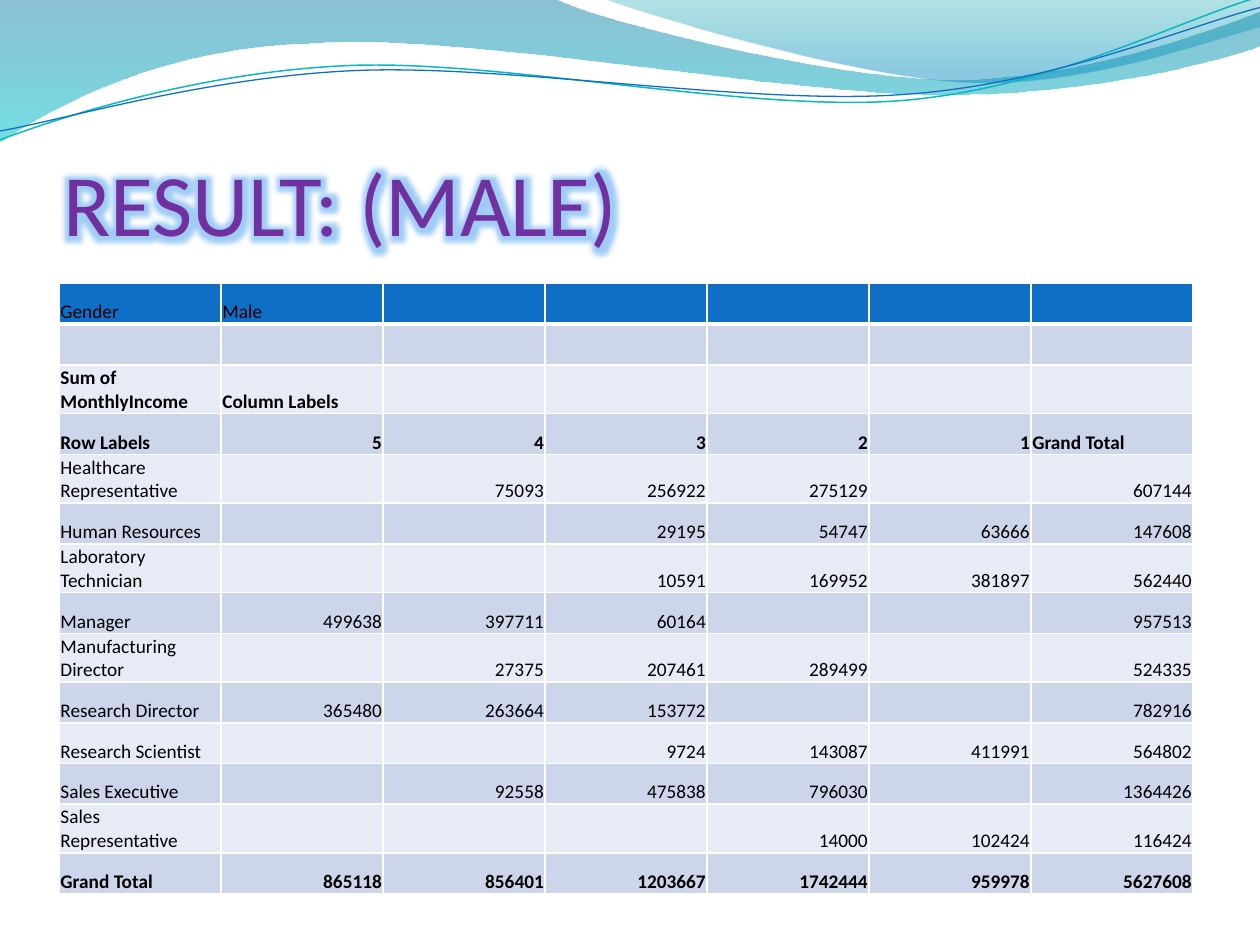
from math import cos, radians, sin

from lxml.etree import SubElement
from pptx import Presentation
from pptx.dml.color import RGBColor
from pptx.enum.text import MSO_ANCHOR, MSO_AUTO_SIZE, PP_ALIGN
from pptx.oxml.ns import qn
from pptx.util import Inches, Pt

COLORS = {
    "white": "FFFFFF", "text": "000000", "title": "7030A0", "glow": "0F7FE6",
    "header": "0F6FC6", "dark_band": "CCD5EA", "light_band": "E7EBF5",
    "deep_blue": "0074A1", "aqua": "00C6CF", "teal": "00A1A9",
    "sky": "008BBF", "teal_line": "0AB8BF", "blue_line": "0F6FC6",
}
FONT = "Calibri"
WIDTH, HEIGHT = 10, 7.5
CURVE_TILT = -2.7
COLUMNS = 7
TABLE_WIDTH = 0.9 * WIDTH
ROW_HEIGHT, TALL_ROW_HEIGHT = Pt(23.25), Inches(0.36)
TALL_ROWS = {2, 4, 6, 8, 12}
BOLD_ROWS = {2, 3, 13}

ROWS = [
    ["Gender", "Male"],
    [],
    ["Sum of MonthlyIncome", "Column Labels"],
    ["Row Labels", "5", "4", "3", "2", "1", "Grand Total"],
    ["Healthcare Representative", "", "75093", "256922", "275129", "", "607144"],
    ["Human Resources", "", "", "29195", "54747", "63666", "147608"],
    ["Laboratory Technician", "", "", "10591", "169952", "381897", "562440"],
    ["Manager", "499638", "397711", "60164", "", "", "957513"],
    ["Manufacturing Director", "", "27375", "207461", "289499", "", "524335"],
    ["Research Director", "365480", "263664", "153772", "", "", "782916"],
    ["Research Scientist", "", "", "9724", "143087", "411991", "564802"],
    ["Sales Executive", "", "92558", "475838", "796030", "", "1364426"],
    ["Sales Representative", "", "", "", "14000", "102424", "116424"],
    ["Grand Total", "865118", "856401", "1203667", "1742444", "959978", "5627608"],
]

WIDE_WAVE = [
    [(0, 0)], [(4.4, -0.01)],
    [(4.76, 0.17), (6.64, 0.63), (7.58, 0.63)],
    [(8.53, 0.63), (9.58, 0.26), (10, 0.09)],
    [(10.01, 0.36)],
    [(9.83, 0.44), (8.7, 0.76), (7.46, 0.75)],
    [(6.22, 0.75), (3.82, 0.28), (2.57, 0.34)],
    [(1.29, 0.36), (0.46, 0.83), (-0.01, 1.13)],
    [(0, 0)],
]
RIGHT_WAVE = [
    [(4.79, -0.01)],
    [(5.09, 0.11), (6.82, 0.62), (7.69, 0.65)],
    [(8.56, 0.69), (9.61, 0.32), (10, 0.21)],
    [(10, 0)], [(4.79, -0.01)],
]
TEAL_CURVE = [
    [(0, 1.11)],
    [(0.48, 0.93), (1.58, 0.57), (2.77, 0.52)],
    [(3.95, 0.47), (5.93, 0.89), (7.13, 0.8)],
    [(8.33, 0.71), (9.38, 0.15), (9.98, -0.02)],
]
BLUE_CURVE = [
    [(0, 1.04)],
    [(0.47, 0.96), (1.64, 0.61), (2.83, 0.56)],
    [(4.03, 0.51), (5.97, 0.84), (7.17, 0.75)],
    [(8.36, 0.67), (9.41, 0.21), (10, 0.06)],
]


def color(name):
    return RGBColor.from_string(COLORS[name])


def add_outline(slide, segments, close):
    points = [(Inches(x), Inches(y)) for segment in segments for x, y in segment]
    builder = slide.shapes.build_freeform(*points[0], scale=1)
    builder.add_line_segments(points[1:], close=close)
    shape = builder.convert_to_shape()
    shape.shadow.inherit = False
    lines = iter(shape.element.spPr.findall(".//" + qn("a:lnTo")))
    for segment in segments[1:]:
        first = next(lines)
        if len(segment) == 3:
            first.tag = qn("a:cubicBezTo")
            for _ in range(2):
                line = next(lines)
                first.append(line[0])
                line.getparent().remove(line)
    return shape


def add_wave(slide, segments, stops):
    shape = add_outline(slide, segments, True)
    shape.line.fill.background()
    shape.fill.gradient()
    shape.fill.gradient_angle = 270
    for stop, (position, name, _) in zip(shape.fill.gradient_stops, stops):
        stop.position = position
        stop.color.rgb = color(name)
    fills = shape.element.spPr.iter(qn("a:srgbClr"))
    for element, (_, _, opacity) in zip(list(fills), stops):
        SubElement(element, qn("a:alpha"), val=str(opacity * 1000))


def turn(point, center, degrees):
    angle = radians(degrees)
    x, y = point[0] - center[0], point[1] - center[1]
    return (center[0] + x * cos(angle) - y * sin(angle),
            center[1] + x * sin(angle) + y * cos(angle))


def add_curve(slide, segments, center, name, width):
    level = [[turn(point, center, -CURVE_TILT) for point in segment] for segment in segments]
    shape = add_outline(slide, level, False)
    shape.rotation = CURVE_TILT
    shape.fill.background()
    shape.line.color.rgb = color(name)
    shape.line.width = Pt(width)


def add_run(paragraph, text, size, name, bold):
    run = paragraph.add_run()
    run.text = text
    run.font.size = Pt(size)
    run.font.bold = bold
    run.font.color.rgb = color(name)
    return run


def set_title(slide, text):
    title = slide.shapes.title
    slide.shapes.element.append(title.element)
    title.left, title.top = Inches(0.05 * WIDTH), Inches(0.77)
    title.width, title.height = Inches(0.9 * WIDTH), Inches(1.25)
    frame = title.text_frame
    frame.word_wrap = True
    frame.auto_size = MSO_AUTO_SIZE.NONE
    frame.vertical_anchor = MSO_ANCHOR.BOTTOM
    frame.margin_left = frame.margin_right = frame.margin_bottom = 0
    frame.margin_top = Inches(0.05)
    paragraph = frame.paragraphs[0]
    paragraph.alignment = PP_ALIGN.LEFT
    run = add_run(paragraph, text, 50, "title", False)
    effects = SubElement(run.font._element, qn("a:effectLst"))
    glow = SubElement(effects, qn("a:glow"), rad=str(Pt(11)))
    glow_color = SubElement(glow, qn("a:srgbClr"), val=COLORS["glow"])
    SubElement(glow_color, qn("a:alpha"), val="40000")
    run.font.name = FONT


def set_borders(cell, bottom_width):
    properties = cell._tc.get_or_add_tcPr()
    widths = {"a:lnL": 1, "a:lnR": 1, "a:lnT": 1, "a:lnB": bottom_width}
    for index, (tag, width) in enumerate(widths.items()):
        line = SubElement(properties, qn(tag), w=str(Pt(width)))
        fill = SubElement(line, qn("a:solidFill"))
        SubElement(fill, qn("a:srgbClr"), val=COLORS["white"])
        properties.insert(index, line)


def fill_cell(cell, text, fill_name, bold, bottom_width):
    cell.fill.solid()
    cell.fill.fore_color.rgb = color(fill_name)
    set_borders(cell, bottom_width)
    cell.margin_left = cell.margin_right = cell.margin_top = Inches(0.01)
    cell.margin_bottom = 0
    cell.vertical_anchor = MSO_ANCHOR.BOTTOM
    paragraph = cell.text_frame.paragraphs[0]
    if text:
        paragraph.alignment = PP_ALIGN.RIGHT if text.isdigit() else PP_ALIGN.LEFT
        add_run(paragraph, text, 11, "text", bold).font.name = FONT
    else:
        SubElement(paragraph._p, qn("a:endParaRPr"), sz="1100")


def add_income_table(slide):
    heights = [TALL_ROW_HEIGHT if row in TALL_ROWS else ROW_HEIGHT for row in range(len(ROWS))]
    frame = slide.shapes.add_table(
        len(ROWS), COLUMNS, Inches(0.47), Inches(2.25), Inches(TABLE_WIDTH), sum(heights),
    )
    table = frame.table
    for column in table.columns:
        column.width = Inches(TABLE_WIDTH / COLUMNS)
    for row, values in enumerate(ROWS):
        table.rows[row].height = heights[row]
        band = "dark_band" if row % 2 else "light_band"
        fill_name = band if row else "header"
        for column in range(COLUMNS):
            text = values[column] if column < len(values) else ""
            fill_cell(table.cell(row, column), text, fill_name, row in BOLD_ROWS, 1 if row else 3)


def main():
    presentation = Presentation()
    presentation.slide_width, presentation.slide_height = Inches(WIDTH), Inches(HEIGHT)
    slide = presentation.slides.add_slide(presentation.slide_layouts[5])
    add_wave(slide, WIDE_WAVE, [(0, "deep_blue", 45), (1, "aqua", 55)])
    add_wave(slide, RIGHT_WAVE, [(0, "teal", 30), (0.8, "sky", 45)])
    add_curve(slide, TEAL_CURVE, (4.99, 0.57), "teal_line", 0.85)
    add_curve(slide, BLUE_CURVE, (5, 0.59), "blue_line", 0.75)
    set_title(slide, "RESULT: (MALE)")
    add_income_table(slide)
    presentation.save("out.pptx")


if __name__ == "__main__":
    main()
